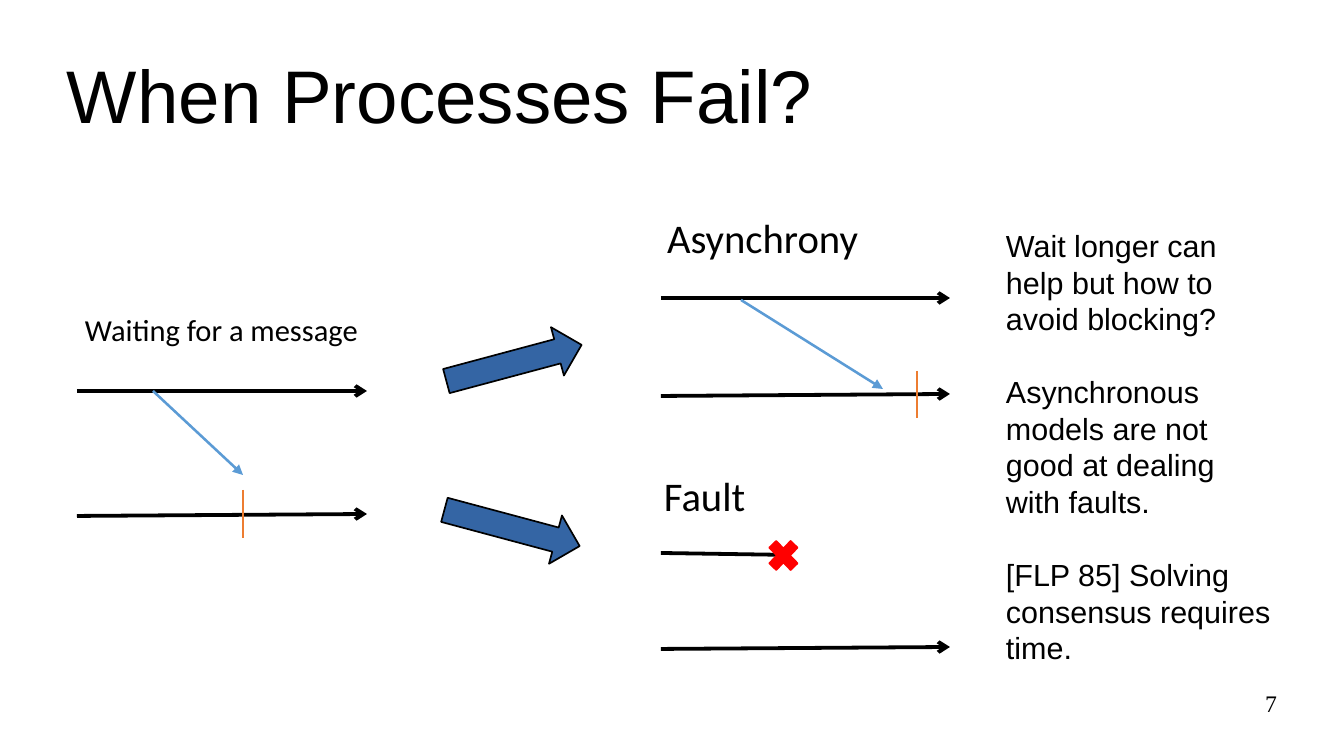
"""Build the slide on what waiting for a message means when processes fail."""
import pptx
import pptx.util
import pptx.dml.color
import pptx.enum.shapes
import pptx.enum.text
import pptx.oxml
import pptx.oxml.ns

PX = 914400 / 122
COLORS = {
    "ink": "000000",
    "message": "5B9BD5",
    "timeout": "ED7D31",
    "block_arrow": "3465A4",
    "crash": "FF0000",
}
SHAPES = pptx.enum.shapes.MSO_SHAPE
ALIGN = pptx.enum.text.PP_ALIGN
ANCHOR = pptx.enum.text.MSO_ANCHOR

presentation = pptx.Presentation()
presentation.slide_width = round(1344 * PX)
presentation.slide_height = round(756 * PX)
slide = presentation.slides.add_slide(presentation.slide_layouts[6])


def add_text(box, paragraphs, font, size, inset=True, align=ALIGN.LEFT, anchor=ANCHOR.TOP):
    shape = slide.shapes.add_textbox(*[round(value * PX) for value in box])
    frame = shape.text_frame
    frame.word_wrap = True
    frame.vertical_anchor = anchor
    if not inset:
        frame.margin_left = frame.margin_right = frame.margin_top = frame.margin_bottom = 0
    frame.text = "\n".join(paragraphs)
    for index, paragraph in enumerate(frame.paragraphs):
        paragraph.alignment = align
        if index:
            paragraph.space_before = pptx.util.Pt(21.5)
        for run in paragraph.runs:
            run.font.name = font
            run.font.size = pptx.util.Pt(size)
            run.font.color.rgb = pptx.dml.color.RGBColor.from_string(COLORS["ink"])


def add_line(points, color, width, head=None):
    connector = slide.shapes.add_connector(
        pptx.enum.shapes.MSO_CONNECTOR.STRAIGHT, *[round(value * PX) for value in points]
    )
    connector.line.color.rgb = pptx.dml.color.RGBColor.from_string(COLORS[color])
    connector.line.width = pptx.util.Pt(width)
    if head:
        tail_end = pptx.oxml.parse_xml(f'<a:tailEnd {pptx.oxml.ns.nsdecls("a")} type="{head}"/>')
        connector.line._get_or_add_ln().append(tail_end)
    effects = pptx.oxml.parse_xml(f'<a:effectLst {pptx.oxml.ns.nsdecls("a")}/>')
    connector._element.spPr.append(effects)


add_text((67, 30, 1210, 127), ["When Processes Fail?"], "Arial", 44, inset=False, anchor=ANCHOR.MIDDLE)

timelines = [
    (77, 391, 367, 391),
    (77, 516, 367, 514),
    (661, 298, 950, 298),
    (661, 396, 950, 394),
    (661, 649, 950, 647),
]
for timeline in timelines:
    add_line(timeline, "ink", 2.25, "arrow")
add_line((661, 553, 790, 555), "ink", 2.25)

for message in [(153, 391, 243, 475), (741, 300, 883, 389)]:
    add_line(message, "message", 1.5, "triangle")
for timeout in [(243, 490, 243, 538), (917, 371, 917, 418)]:
    add_line(timeout, "timeout", 1.5)

solid_shapes = [
    (SHAPES.RIGHT_ARROW, (444, 338, 140, 50), -15, "block_arrow", "ink"),
    (SHAPES.RIGHT_ARROW, (442, 503, 140, 50), 15, "block_arrow", "ink"),
    (SHAPES.MATH_MULTIPLY, (763, 534, 41, 43), 0, "crash", "crash"),
]
for preset, box, rotation, fill, outline in solid_shapes:
    shape = slide.shapes.add_shape(preset, *[round(value * PX) for value in box])
    shape.shadow.inherit = False
    shape.rotation = rotation
    shape.fill.solid()
    shape.fill.fore_color.rgb = pptx.dml.color.RGBColor.from_string(COLORS[fill])
    shape.line.color.rgb = pptx.dml.color.RGBColor.from_string(COLORS[outline])
    shape.line.width = pptx.util.Pt(1)

labels = [
    ("Waiting for a message", (73, 305, 310, 49), 18),
    ("Asynchrony", (655, 207, 230, 61), 24),
    ("Fault", (652, 465, 120, 61), 24),
]
for label, box, size in labels:
    add_text(box, [label], "Calibri", size)

remarks = [
    "Wait longer can help but how to avoid blocking?",
    "Asynchronous models are not good at dealing with faults.",
    "[FLP 85] Solving consensus requires time.",
]
add_text((994, 221, 293, 456), remarks, "Arial", 18)
add_text((964, 689, 313, 52), ["7"], "Times New Roman", 14, inset=False, align=ALIGN.RIGHT)

presentation.save("out.pptx")
